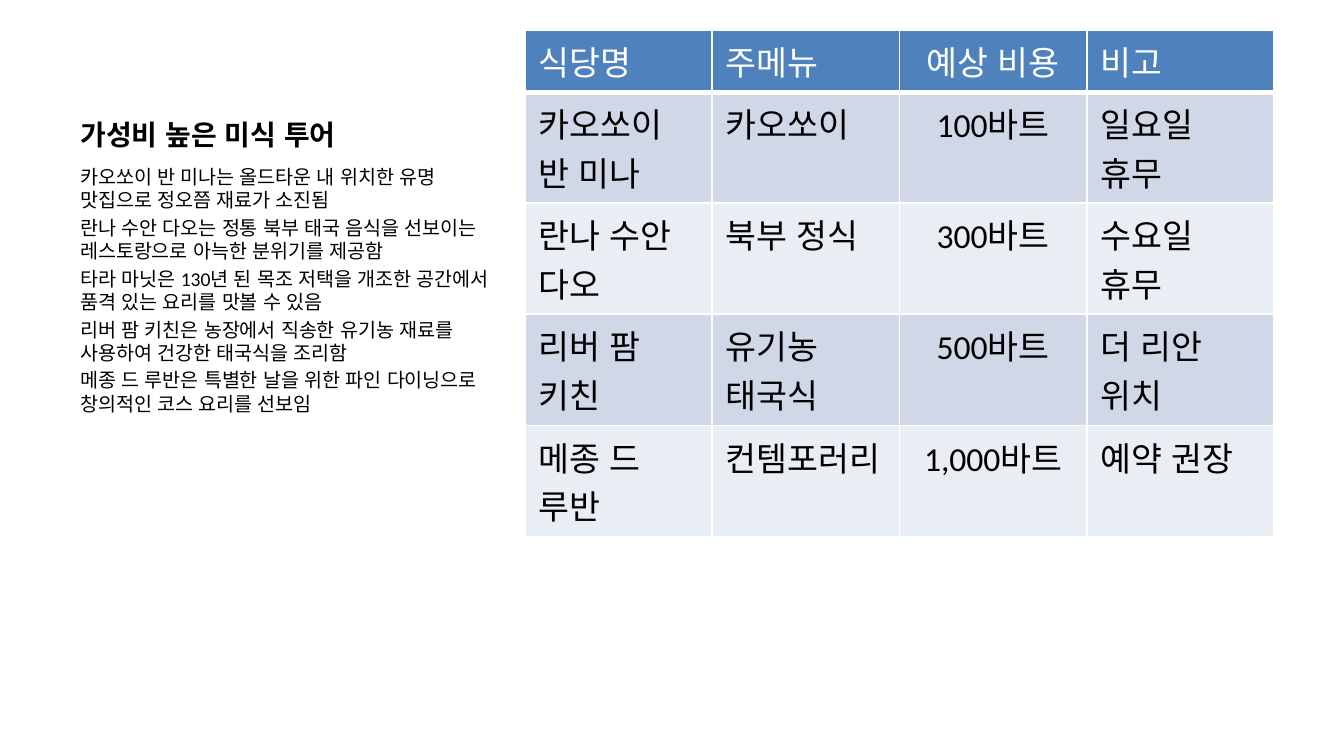
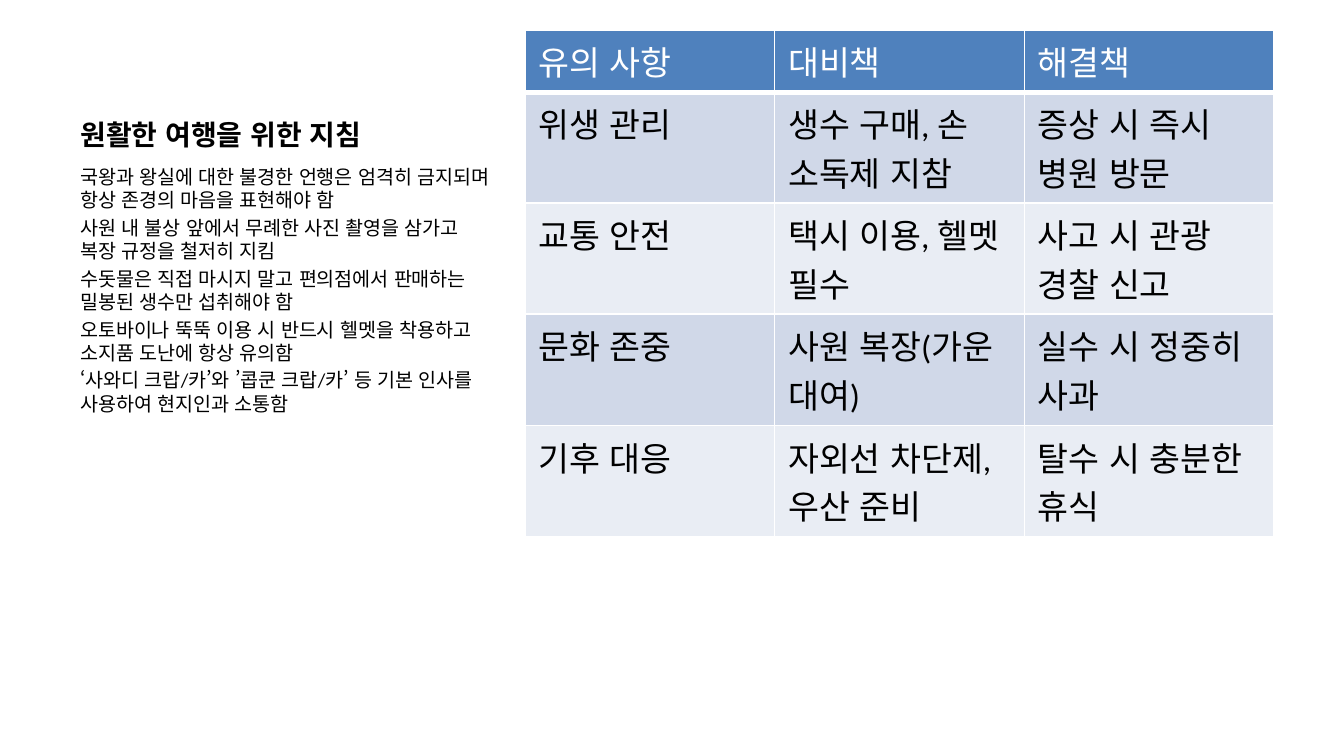
import pptx
import pptx.dml.color
import pptx.enum.lang
import pptx.enum.text
import pptx.oxml
import pptx.oxml.ns
import pptx.util

Cm, Pt = pptx.util.Cm, pptx.util.Pt
RGBColor = pptx.dml.color.RGBColor
ALIGN = pptx.enum.text.PP_ALIGN
ANCHOR = pptx.enum.text.MSO_ANCHOR

# Shared colours
BLACK = RGBColor(0x00, 0x00, 0x00)
WHITE = RGBColor(0xFF, 0xFF, 0xFF)
HEADER_BLUE = RGBColor(0x4F, 0x81, 0xBD)
BANDS = (RGBColor(0xD0, 0xD8, 0xE8), RGBColor(0xE9, 0xED, 0xF4))

# Shared text formats
BASE = {"name": "Calibri", "language_id": pptx.enum.lang.MSO_LANGUAGE_ID.KOREAN}
TITLE = {**BASE, "size": Pt(15), "bold": True}
BODY = {**BASE, "size": Pt(10.5)}
CELL = {**BASE, "size": Pt(18)}

# Shared layout
TEXT_LEFT, TEXT_WIDTH = Cm(1.27), Cm(8.36)
TOP, TITLE_HEIGHT, BODY_HEIGHT = Cm(0.57), Cm(2.42), Cm(9.77)
TABLE_LEFT, TABLE_WIDTH = Cm(9.92), Cm(14.16)
HEADER_HEIGHT, ROW_HEIGHT = Cm(1.17), Cm(2.1)

# Slide contents
FOOD = {
    "title": "가성비 높은 미식 투어",
    "body": [
        "카오쏘이 반 미나는 올드타운 내 위치한 유명 맛집으로 정오쯤 재료가 소진됨",
        "란나 수안 다오는 정통 북부 태국 음식을 선보이는 레스토랑으로 아늑한 분위기를 제공함",
        "타라 마닛은 130년 된 목조 저택을 개조한 공간에서 품격 있는 요리를 맛볼 수 있음",
        "리버 팜 키친은 농장에서 직송한 유기농 재료를 사용하여 건강한 태국식을 조리함",
        "메종 드 루반은 특별한 날을 위한 파인 다이닝으로 창의적인 코스 요리를 선보임",
    ],
    "rows": [
        ("식당명", "주메뉴", "예상 비용", "비고"),
        ("카오쏘이 반 미나", "카오쏘이", "100바트", "일요일 휴무"),
        ("란나 수안 다오", "북부 정식", "300바트", "수요일 휴무"),
        ("리버 팜 키친", "유기농 태국식", "500바트", "더 리안 위치"),
        ("메종 드 루반", "컨템포러리", "1,000바트", "예약 권장"),
    ],
    "centred": (2,),
}
GUIDE = {
    "title": "원활한 여행을 위한 지침",
    "body": [
        "국왕과 왕실에 대한 불경한 언행은 엄격히 금지되며 항상 존경의 마음을 표현해야 함",
        "사원 내 불상 앞에서 무례한 사진 촬영을 삼가고 복장 규정을 철저히 지킴",
        "수돗물은 직접 마시지 말고 편의점에서 판매하는 밀봉된 생수만 섭취해야 함",
        "오토바이나 뚝뚝 이용 시 반드시 헬멧을 착용하고 소지품 도난에 항상 유의함",
        "‘사와디 크랍/카’와 ’콥쿤 크랍/카’ 등 기본 인사를 사용하여 현지인과 소통함",
    ],
    "rows": [
        ("유의 사항", "대비책", "해결책"),
        ("위생 관리", "생수 구매, 손 소독제 지참", "증상 시 즉시 병원 방문"),
        ("교통 안전", "택시 이용, 헬멧 필수", "사고 시 관광 경찰 신고"),
        ("문화 존중", "사원 복장(가운 대여)", "실수 시 정중히 사과"),
        ("기후 대응", "자외선 차단제, 우산 준비", "탈수 시 충분한 휴식"),
    ],
    "centred": (),
}


def add_run(p, text, fmt, color):
    r = p.add_run()
    r.text = text
    for name, value in fmt.items():
        setattr(r.font, name, value)
    r.font.color.rgb = color


def add_text(s, top, height, lines, fmt, anchor=ANCHOR.TOP, before=0):
    sp = s.shapes.add_textbox(TEXT_LEFT, top, TEXT_WIDTH, height)
    tf = sp.text_frame
    tf.word_wrap = True
    tf.vertical_anchor = anchor
    for i, line in enumerate(lines):
        p = tf.add_paragraph() if i else tf.paragraphs[0]
        p.space_before = Pt(before)
        add_run(p, line, fmt, BLACK)


def set_borders(cell, bottom):
    tc_pr = cell._tc.get_or_add_tcPr()
    for i, (side, width) in enumerate(zip("LRTB", (1, 1, 1, bottom))):
        tc_pr.insert(i, pptx.oxml.parse_xml(
            f'<a:ln{side} {pptx.oxml.ns.nsdecls("a")} w="{Pt(width)}">'
            f'<a:solidFill><a:srgbClr val="{WHITE}"/></a:solidFill></a:ln{side}>'))


def add_table(s, rows, centred):
    n = len(rows[0])
    height = HEADER_HEIGHT + ROW_HEIGHT * (len(rows) - 1)
    table = s.shapes.add_table(
        len(rows), n, TABLE_LEFT, TOP, TABLE_WIDTH, height).table
    for column in table.columns:
        column.width = TABLE_WIDTH // n
    for i, row in enumerate(rows):
        header = i == 0
        table.rows[i].height = HEADER_HEIGHT if header else ROW_HEIGHT
        for j, text in enumerate(row):
            cell = table.cell(i, j)
            cell.fill.solid()
            cell.fill.fore_color.rgb = HEADER_BLUE if header else BANDS[(i - 1) % 2]
            set_borders(cell, 3 if header else 1)
            p = cell.text_frame.paragraphs[0]
            p.alignment = ALIGN.CENTER if j in centred else ALIGN.LEFT
            add_run(p, text, {**CELL, "bold": False}, WHITE if header else BLACK)


def add_slide(prs, content):
    s = prs.slides.add_slide(prs.slide_layouts[6])
    # Title and notes on the left
    add_text(s, TOP, TITLE_HEIGHT, [content["title"]], TITLE, ANCHOR.BOTTOM)
    add_text(s, TOP + TITLE_HEIGHT, BODY_HEIGHT, content["body"], BODY, before=2.1)
    # Table on the right
    add_table(s, content["rows"], content["centred"])


def main():
    prs = pptx.Presentation()
    prs.slide_width, prs.slide_height = Cm(25.4), Cm(14.29)
    for content in (FOOD, GUIDE):
        add_slide(prs, content)
    prs.save("out.pptx")


if __name__ == "__main__":
    main()
